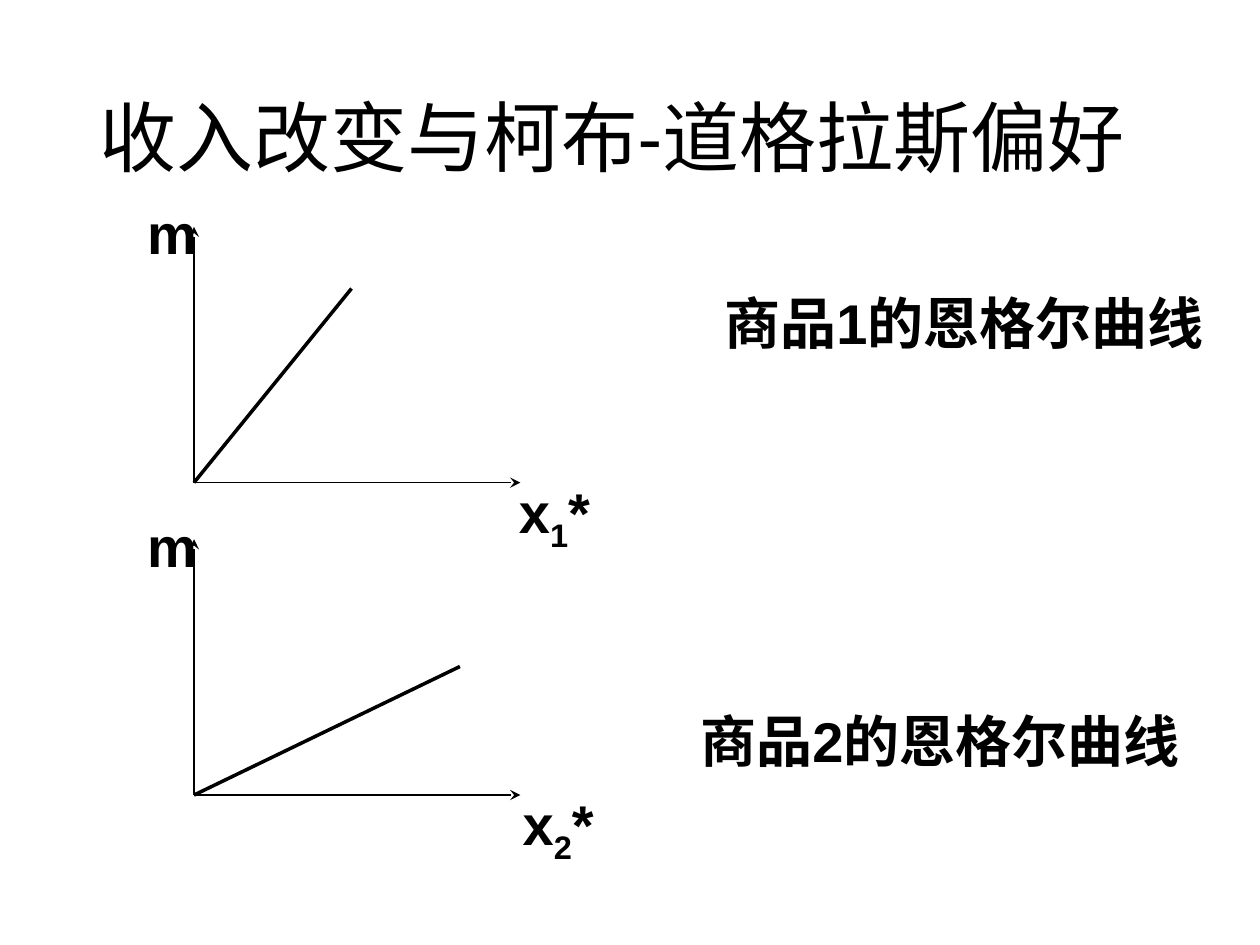
from lxml import etree
from pptx import Presentation
from pptx.dml.color import RGBColor
from pptx.enum.shapes import MSO_CONNECTOR
from pptx.enum.text import MSO_ANCHOR
from pptx.oxml.ns import qn
from pptx.util import Inches, Pt

STRAIGHT = MSO_CONNECTOR.STRAIGHT
TOP = MSO_ANCHOR.TOP
MIDDLE = MSO_ANCHOR.MIDDLE
BLACK = "000000"
PLOT_LEFT, PLOT_TOP, PLOT_WIDTH, PLOT_HEIGHT = 1.54, 1.8, 2.59, 2.03
PLOT_PITCH = 2.48


def color(value):
    return RGBColor.from_string(value)


def add_text(page, box, parts, size=32, font="Arial", bold=True,
             wrap=False, anchor=TOP, spacing=1.0):
    frame = page.shapes.add_textbox(*map(Inches, box)).text_frame
    frame.word_wrap = wrap
    frame.vertical_anchor = anchor
    para = frame.paragraphs[0]
    para.line_spacing = spacing
    para.font.size = Pt(size)
    para.font.name = font
    para.font.bold = bold
    para.font.color.rgb = color(BLACK)
    for text, baseline in parts:
        span = para.add_run()
        span.text = text
        if baseline:
            span.font._element.set("baseline", str(baseline * 1000))


def add_line(page, start, end, width, arrow=False):
    line = page.shapes.add_connector(STRAIGHT, *map(Inches, start + end))
    line.line.color.rgb = color(BLACK)
    line.line.width = Pt(width)
    if arrow:
        etree.SubElement(line.line._get_or_add_ln(), qn("a:tailEnd"), type="stealth")
    etree.SubElement(line._element.spPr, qn("a:effectLst"))


def add_title(page, box):
    add_text(page, box, [("收入改变与柯布-道格拉斯偏好", 0)], size=44,
             font="Calibri", bold=False, wrap=True, anchor=MIDDLE, spacing=0.9)


def add_engel_plot(page, box, good, run, rise, label_shift):
    left, top, width, height = box
    bottom = top + height
    origin = (left, bottom)
    add_line(page, origin, (left, top), 1, arrow=True)
    add_line(page, origin, (left + width, bottom), 1, arrow=True)
    add_line(page, origin, (left + run, bottom - rise), 2)
    add_text(page, (left - 0.47, top - 0.27, 0.6, 0.64), [("m", 0)])
    add_text(page, (left + width - 0.11 + label_shift, bottom - 0.09, 0.78, 0.63),
             [("x", 0), (good, -25), ("*", 0)])


def add_caption(page, box, good):
    add_text(page, box, [(f"商品{good}的恩格尔曲线", 0)], wrap=True)


def main():
    deck = Presentation()
    deck.slide_width, deck.slide_height = Inches(10), Inches(7.5)
    page = deck.slides.add_slide(deck.slide_layouts[6])
    add_title(page, (0.69, 0.4, 8.62, 1.45))
    goods = [
        ("1", 1.25, 1.54, 0, (5.65, 2.24)),
        ("2", 2.11, 1.02, 0.03, (5.46, 5.56)),
    ]
    for row, (good, run, rise, label_shift, corner) in enumerate(goods):
        box = (PLOT_LEFT, PLOT_TOP + row * PLOT_PITCH, PLOT_WIDTH, PLOT_HEIGHT)
        add_engel_plot(page, box, good, run, rise, label_shift)
        add_caption(page, corner + (4.06, 0.64), good)
    deck.save("out.pptx")


if __name__ == "__main__":
    main()
